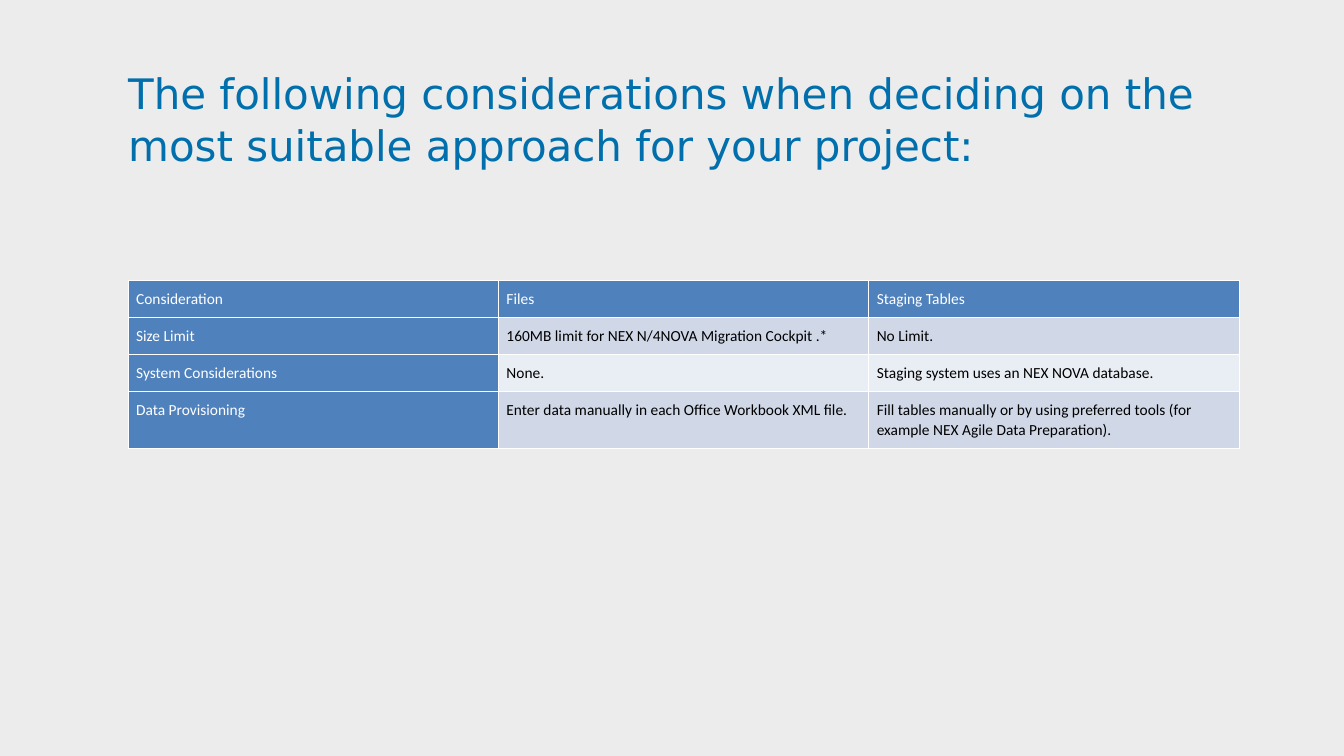
from pptx import Presentation
from pptx.dml.color import RGBColor
from pptx.enum.text import MSO_ANCHOR, MSO_AUTO_SIZE, PP_ALIGN
from pptx.oxml.ns import qn
from pptx.util import Cm, Pt
from lxml import etree

TOP = MSO_ANCHOR.TOP
LEFT = PP_ALIGN.LEFT
GROW = MSO_AUTO_SIZE.SHAPE_TO_FIT_TEXT

GREY = RGBColor(0xEC, 0xEC, 0xEC)
INK = RGBColor(0x00, 0x6F, 0xAC)
BLUE = RGBColor(0x4F, 0x81, 0xBD)
BANDS = [RGBColor(0xE9, 0xED, 0xF4), RGBColor(0xD0, 0xD8, 0xE8)]
WHITE = RGBColor(0xFF, 0xFF, 0xFF)
BLACK = RGBColor(0x00, 0x00, 0x00)

TITLE = ("The following considerations when deciding on the most suitable "
         "approach for your project:")
ROWS = [
    ["Consideration", "Files", "Staging Tables"],
    ["Size Limit", "160MB limit for NEX N/4NOVA Migration Cockpit .*",
     "No Limit."],
    ["System Considerations", "None.",
     "Staging system uses an NEX NOVA database."],
    ["Data Provisioning",
     "Enter data manually in each Office Workbook XML file.",
     "Fill tables manually or by using preferred tools (for example "
     "NEX Agile Data Preparation)."],
]
HEIGHTS = [Cm(0.93)] * 3 + [Cm(1.45)]
SIDE = Cm(3.23)
WIDTH = Cm(28)


def put_text(frame, text, font="Calibri", size=11, color=BLACK,
             line=1.07, after=0):
    """Write one left-aligned paragraph."""
    para = frame.paragraphs[0]
    para.alignment = LEFT
    para.line_spacing = line
    para.space_before = Pt(0)
    para.space_after = Pt(after)
    run = para.add_run()
    run.text = text
    run.font.name = font
    run.font.size = Pt(size)
    run.font.bold = False
    run.font.color.rgb = color


def add_edges(cell, color=WHITE, width=1):
    """Draw a line on all four sides of a cell."""
    props = cell._tc.get_or_add_tcPr()
    for side in ("lnL", "lnR", "lnT", "lnB"):
        edge = etree.SubElement(props, qn("a:" + side), w=str(Pt(width)))
        fill = etree.SubElement(edge, qn("a:solidFill"))
        etree.SubElement(fill, qn("a:srgbClr"), val=str(color))


def add_title(slide):
    title = slide.shapes.title
    title.left, title.top = SIDE, Cm(1.65)
    title.width, title.height = WIDTH, Cm(2.57)
    frame = title.text_frame
    frame.margin_left = frame.margin_right = 0
    frame.margin_top = frame.margin_bottom = 0
    frame.word_wrap = True
    frame.auto_size = GROW
    frame.vertical_anchor = TOP
    put_text(frame, TITLE, font="DejaVu Sans", size=30, color=INK, line=1.04)


def fill_cell(cell, text, fill, color):
    cell.margin_left = cell.margin_right = Cm(0.2)
    cell.margin_top = cell.margin_bottom = Cm(0.2)
    cell.vertical_anchor = TOP
    add_edges(cell)
    cell.fill.solid()
    cell.fill.fore_color.rgb = fill
    put_text(cell.text_frame, text, color=color, after=18)


def add_grid(slide):
    table = slide.shapes.add_table(len(ROWS), len(ROWS[0]), SIDE, Cm(7.07),
                                   WIDTH, sum(HEIGHTS)).table
    table.first_col = True
    for r, texts in enumerate(ROWS):
        table.rows[r].height = HEIGHTS[r]
        for c, text in enumerate(texts):
            head = r == 0 or c == 0
            fill_cell(table.cell(r, c), text,
                      BLUE if head else BANDS[r % 2],
                      WHITE if head else BLACK)


def main():
    deck = Presentation()
    deck.slide_width, deck.slide_height = Cm(33.87), Cm(19.05)
    slide = deck.slides.add_slide(deck.slide_layouts[5])

    # Background
    slide.background.fill.solid()
    slide.background.fill.fore_color.rgb = GREY

    # Heading and comparison table
    add_title(slide)
    add_grid(slide)
    deck.save("out.pptx")


if __name__ == "__main__":
    main()
